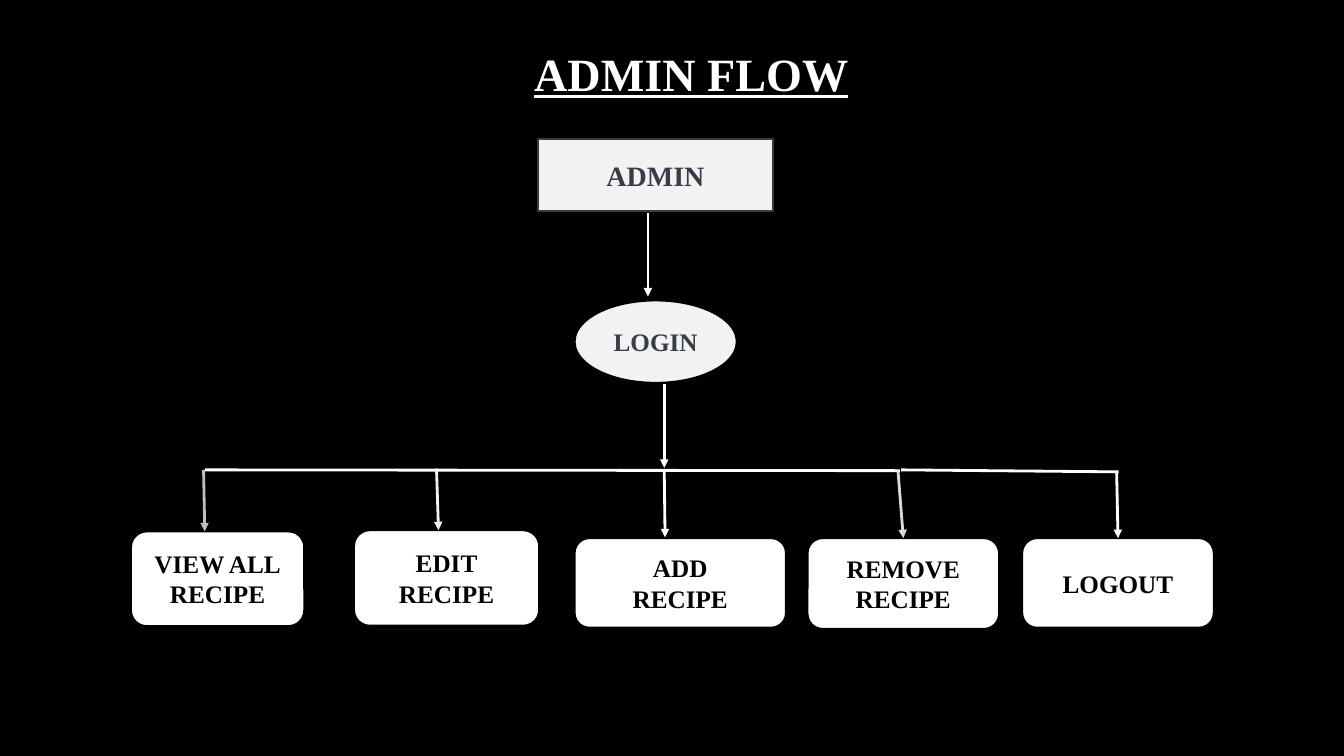
from lxml import etree
from pptx import Presentation
from pptx import util as u
from pptx.dml.color import RGBColor
from pptx.enum import shapes, text
from pptx.oxml.ns import qn

BLACK = RGBColor(0x00, 0x00, 0x00)
WHITE = RGBColor(0xFF, 0xFF, 0xFF)
PALE = RGBColor(0xF2, 0xF2, 0xF2)
LIGHT_GREY = RGBColor(0xD9, 0xD9, 0xD9)
GREY = RGBColor(0xBF, 0xBF, 0xBF)
SLATE = RGBColor(0x36, 0x3D, 0x46)

RECTANGLE = shapes.MSO_SHAPE.RECTANGLE
OVAL = shapes.MSO_SHAPE.OVAL
ROUNDED = shapes.MSO_SHAPE.ROUNDED_RECTANGLE


def write_text(shape, content, size, color, align=text.PP_ALIGN.CENTER,
               anchor=text.MSO_ANCHOR.MIDDLE, underline=False, spacing=1.0):
    """Fill a shape with bold text, one paragraph per line."""
    frame = shape.text_frame
    frame.word_wrap = True
    frame.vertical_anchor = anchor
    frame.text = content
    for paragraph in frame.paragraphs:
        paragraph.alignment = align
        paragraph.line_spacing = spacing
        font = paragraph.runs[0].font
        font.name = "Times New Roman"
        font.size = u.Pt(size)
        font.bold = True
        font.underline = underline
        font.color.rgb = color


def add_line(start, end, color=WHITE, arrow=True):
    """Draw a straight line between two points given in centimetres."""
    line = slide.shapes.add_connector(
        shapes.MSO_CONNECTOR.STRAIGHT, *(u.Cm(value) for value in start + end))
    line.line.color.rgb = color
    line.line.width = u.Pt(2)
    if arrow:
        outline = line.line._get_or_add_ln()
        etree.SubElement(outline, qn("a:tailEnd"), type="triangle")
    etree.SubElement(line._element.spPr, qn("a:effectLst"))
    return line


presentation = Presentation()
presentation.slide_width = u.Cm(33.87)
presentation.slide_height = u.Cm(19.05)
slide = presentation.slides.add_slide(presentation.slide_layouts[6])
slide.background.fill.solid()
slide.background.fill.fore_color.rgb = BLACK

# Title
title = slide.shapes.add_textbox(u.Cm(13.21), u.Cm(1.19), u.Cm(24.41), u.Cm(1.47))
write_text(title, "ADMIN FLOW", size=33, color=WHITE, align=text.PP_ALIGN.LEFT,
           anchor=text.MSO_ANCHOR.BOTTOM, underline=True, spacing=0.8)

# Steps: label, preset, box (left, top, width, height), fill, outline, text colour, size
steps = [
    ("ADMIN", RECTANGLE, (13.56, 3.51, 5.92, 1.8), PALE, SLATE, SLATE, 20),
    ("LOGIN", OVAL, (14.48, 7.57, 4.09, 2.08), PALE, BLACK, SLATE, 18),
]
actions = [
    ("VIEW ALL\nRECIPE", (3.3, 13.39, 4.37, 2.39)),
    ("EDIT\nRECIPE", (8.92, 13.36, 4.67, 2.41)),
    ("ADD\nRECIPE", (14.48, 13.56, 5.33, 2.26)),
    ("REMOVE\nRECIPE", (20.35, 13.56, 4.83, 2.29)),
    ("LOGOUT", (25.76, 13.56, 4.83, 2.26)),
]
steps += [(label, ROUNDED, box, WHITE, BLACK, BLACK, 18) for label, box in actions]

boxes = {}
for label, preset, box, fill, outline, color, size in steps:
    shape = slide.shapes.add_shape(preset, *(u.Cm(value) for value in box))
    shape.shadow.inherit = False
    shape.fill.solid()
    shape.fill.fore_color.rgb = fill
    shape.line.color.rgb = outline
    shape.line.width = u.Pt(1.5)
    write_text(shape, label, size=size, color=color)
    boxes[label] = shape

# Arrows from admin to login and from login to the branch line
add_line((16.33, 5.36), (16.33, 7.47))
add_line((16.74, 9.68), (16.74, 11.79))

# Branch line, in two parts
add_line((5.16, 11.84), (22.68, 11.86), arrow=False)
add_line((22.71, 11.84), (28.19, 11.89), arrow=False)

# Arrows from the branch line to the actions
add_line((5.13, 11.84), (5.16, 13.39), GREY)
add_line((11, 11.81), (11.05, 13.36), PALE)
add_line((16.74, 11.84), (16.76, 13.54))
remove_arrow = add_line((22.63, 11.86), (22.68, 13.56), LIGHT_GREY)
remove_arrow.end_connect(boxes["REMOVE\nRECIPE"], 0)
logout_arrow = add_line((28.14, 11.89), (28.19, 13.56))
logout_arrow.end_connect(boxes["LOGOUT"], 0)

presentation.save("out.pptx")
